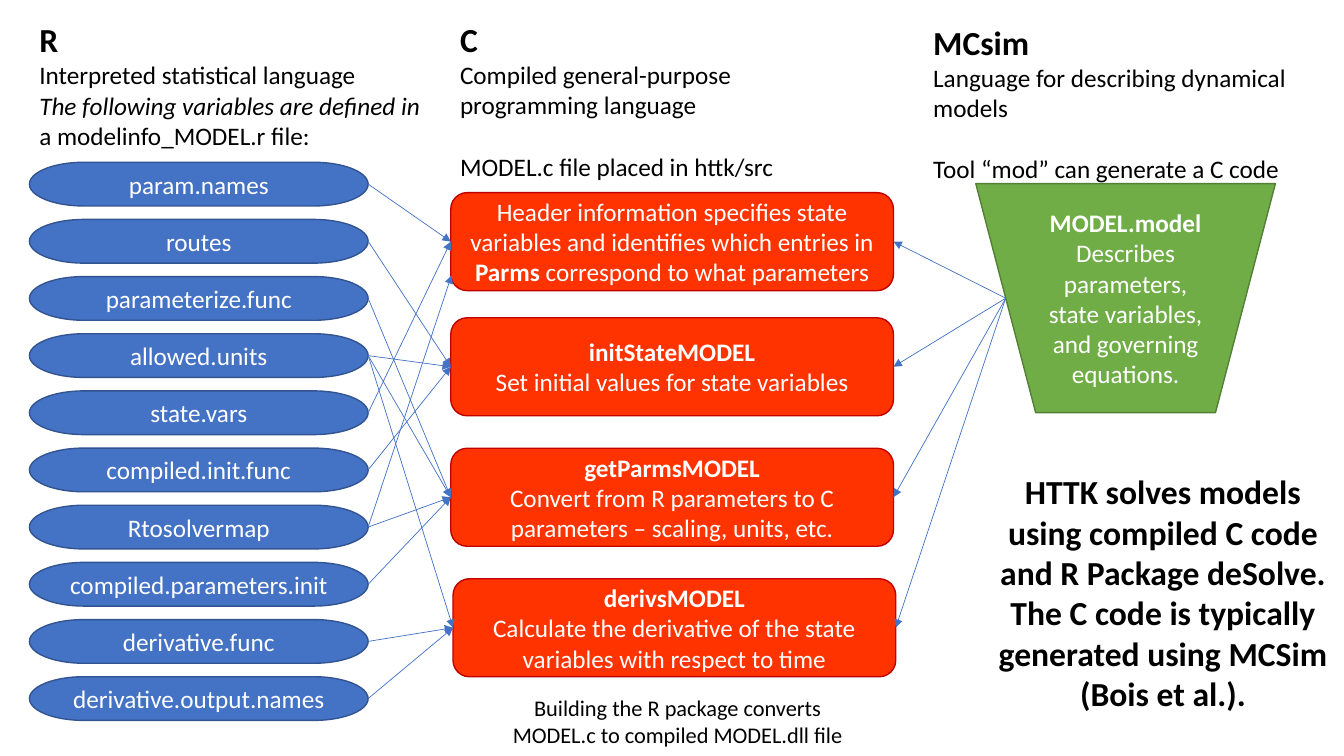
from lxml import etree
from pptx import Presentation
from pptx.dml.color import RGBColor
from pptx.enum.shapes import MSO_CONNECTOR, MSO_SHAPE
from pptx.enum.text import MSO_AUTO_SIZE, PP_ALIGN
from pptx.oxml.ns import qn
from pptx.util import Pt

LEFT, CENTER = PP_ALIGN.LEFT, PP_ALIGN.CENTER
GROW = MSO_AUTO_SIZE.SHAPE_TO_FIT_TEXT
STRAIGHT = MSO_CONNECTOR.STRAIGHT
PILL = MSO_SHAPE.FLOWCHART_TERMINATOR
ROUNDED = MSO_SHAPE.ROUNDED_RECTANGLE
TRAPEZOID = MSO_SHAPE.FLOWCHART_MANUAL_OPERATION
LEFT_SITE, RIGHT_SITE = 1, 3

THEME = {
    "font": "Calibri", "heading": 24, "body": 18, "note": 16,
    "text": "000000", "on_fill": "FFFFFF", "arrow": "4472C4",
    "r": ("4472C4", "325491"), "c": ("FF3300", "C00000"), "mcsim": ("70AD47", "538035"),
}


def write(s, paragraphs, color, align, sizes):
    """Fill a shape with paragraphs of (text, style) runs; sizes are for the first and later ones."""
    tf = s.text_frame
    tf.word_wrap = True
    for i, runs in enumerate(paragraphs):
        p = tf.paragraphs[0] if i == 0 else tf.add_paragraph()
        p.alignment = align
        for text, style in runs:
            r = p.add_run()
            r.text = text
            r.font.name = THEME["font"]
            r.font.size = Pt(sizes[min(i, 1)])
            r.font.color.rgb = RGBColor.from_string(color)
            r.font.bold = style == "bold"
            r.font.italic = style == "italic"


def add_node(kind, box, colors, paragraphs):
    """Add a filled, outlined shape with centred white text."""
    s = shapes.add_shape(kind, *map(Pt, box))
    s.shadow.inherit = False
    fill, line = colors
    s.fill.solid()
    s.fill.fore_color.rgb = RGBColor.from_string(fill)
    s.line.color.rgb = RGBColor.from_string(line)
    s.line.width = Pt(1)
    write(s, paragraphs, THEME["on_fill"], CENTER, (THEME["body"], THEME["body"]))
    return s


prs = Presentation()
prs.slide_width, prs.slide_height = Pt(960), Pt(540)
shapes = prs.slides.add_slide(prs.slide_layouts[6]).shapes

# Column headings and notes: box, alignment, sizes, paragraphs
column_sizes = (THEME["heading"], THEME["body"])
texts = [
    ((21, 10.2, 297, 101.5), LEFT, column_sizes, [
        [("R", "bold")],
        [("Interpreted statistical language", "")],
        [("The following variables are defined in ", "italic"),
         ("a modelinfo_MODEL.r file:", "")]]),
    ((321.5, 10.2, 262, 124), LEFT, column_sizes, [
        [("C", "bold")],
        [("Compiled general-purpose programming language", "")],
        [("MODEL.c file placed in httk/src", "")]]),
    ((659.5, 11.9, 299, 124), LEFT, column_sizes, [
        [("MCsim", "bold")],
        [("Language for describing dynamical models", "")],
        [("Tool “mod” can generate a C code", "")]]),
    ((700.5, 333, 260.5, 181.5), CENTER, column_sizes, [
        [("HTTK solves models using compiled C code and R Package deSolve. "
          "The C code is typically generated using MCSim (Bois et al.).", "bold")]]),
    ((353, 492, 262, 46), CENTER, (THEME["note"], THEME["note"]), [
        [("Building the R package converts MODEL.c to compiled MODEL.dll file", "")]]),
]
for box, align, sizes, paragraphs in texts:
    s = shapes.add_textbox(*map(Pt, box))
    write(s, paragraphs, THEME["text"], align, sizes)
    s.text_frame.auto_size = GROW
    last = s.text_frame.paragraphs[-1]
    if last.text.startswith(("MODEL.c", "Tool")):
        last.space_before = Pt(22)

# R variables
variables = ["param.names", "routes", "parameterize.func", "allowed.units", "state.vars",
             "compiled.init.func", "Rtosolvermap", "compiled.parameters.init",
             "derivative.func", "derivative.output.names"]
nodes = {}
for i, name in enumerate(variables):
    nodes[name] = add_node(PILL, (21, 115.9 + 40.83 * i, 242, 31.2), THEME["r"], [[(name, "")]])

# C functions: name, left, top, paragraphs
functions = [
    ("header", 322, 137.6, [
        [("Header information specifies state variables and identifies which entries in ", ""),
         ("Parms", "bold"), (" correspond to what parameters", "")]]),
    ("initState", 322, 227, [
        [("initStateMODEL", "bold")], [("Set initial values for state variables", "")]]),
    ("getParms", 322, 320.2, [
        [("getParmsMODEL", "bold")],
        [("Convert from R parameters to C parameters – scaling, units, etc.", "")]]),
    ("derivs", 323.6, 413.4, [
        [("derivsMODEL", "bold")],
        [("Calculate the derivative of the state variables with respect to time", "")]]),
]
for name, left, top, paragraphs in functions:
    nodes[name] = add_node(ROUNDED, (left, top, 316.2, 70), THEME["c"], paragraphs)

# MCsim model
nodes["model"] = add_node(TRAPEZOID, (697, 131.2, 214, 163.6), THEME["mcsim"], [
    [("MODEL.model", "bold")],
    [("Describes parameters, state variables, and governing equations.", "")]])

# Arrows into the C functions
links = {
    "header": ["param.names", "state.vars", "Rtosolvermap", "model"],
    "initState": ["routes", "allowed.units", "compiled.init.func", "model"],
    "getParms": ["parameterize.func", "allowed.units", "Rtosolvermap",
                 "compiled.parameters.init", "model"],
    "derivs": ["allowed.units", "derivative.func", "derivative.output.names", "model"],
}
for target, sources in links.items():
    for source in sources:
        from_model = source == "model"
        s = shapes.add_connector(STRAIGHT, 0, 0, 0, 0)
        s.begin_connect(nodes[source], LEFT_SITE if from_model else RIGHT_SITE)
        if from_model:
            # The slanted side meets the middle a tenth of the width in
            s.begin_x = nodes[source].left + nodes[source].width // 10
        if (source, target) == ("Rtosolvermap", "header"):
            s.end_x, s.end_y = Pt(322.6), Pt(196.6)
        else:
            s.end_connect(nodes[target], RIGHT_SITE if from_model else LEFT_SITE)
        s.line.color.rgb = RGBColor.from_string(THEME["arrow"])
        s.line.width = Pt(0.5)
        etree.SubElement(s.line._get_or_add_ln(), qn("a:tailEnd"), type="triangle")
        etree.SubElement(s._element.spPr, qn("a:effectLst"))

prs.save("out.pptx")
